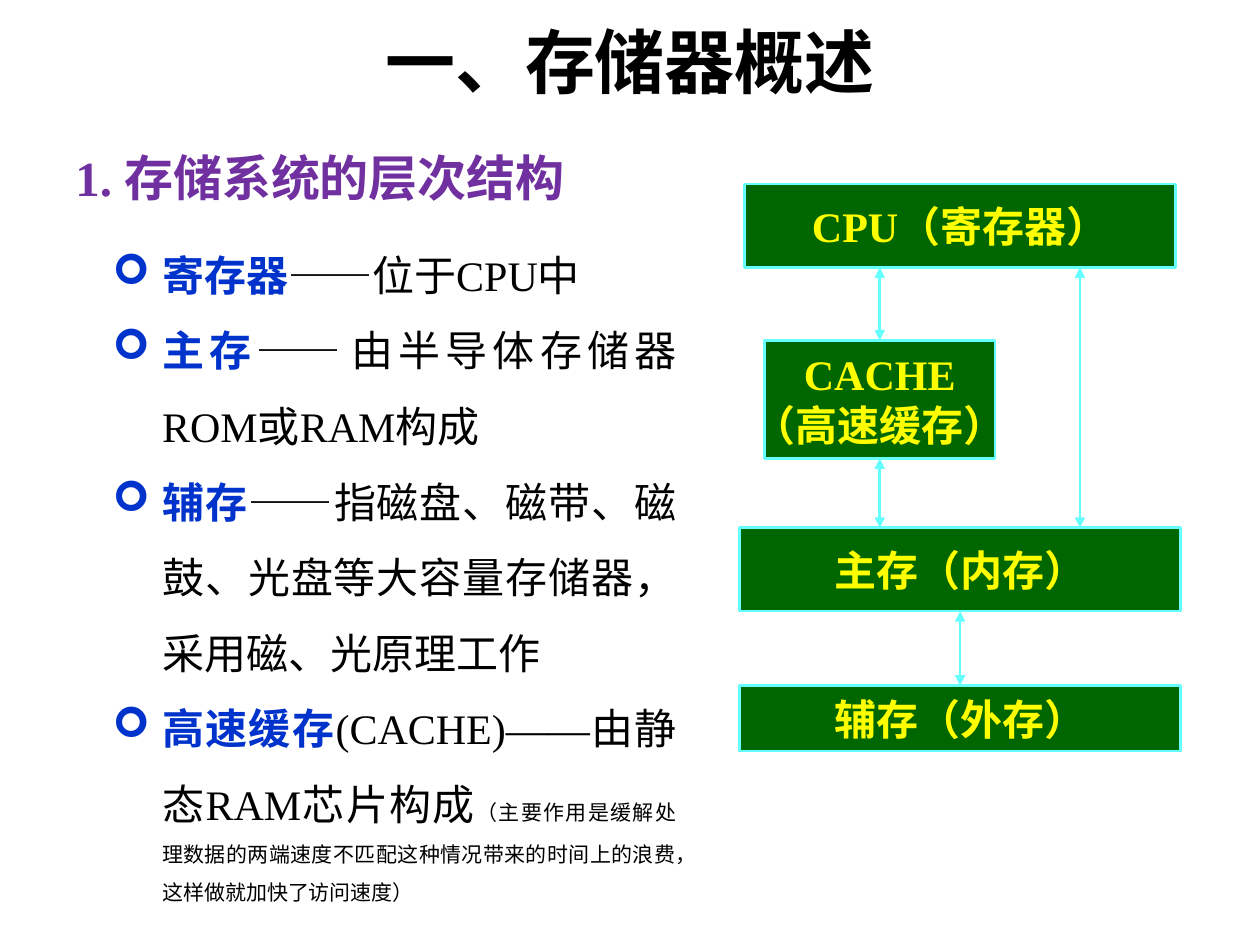
from lxml.etree import SubElement
from pptx import Presentation
from pptx.dml.color import RGBColor
from pptx.enum.lang import MSO_LANGUAGE_ID as LANG
from pptx.enum.shapes import MSO_CONNECTOR as LINE, MSO_SHAPE as SHAPE
from pptx.enum.text import MSO_ANCHOR as ANCHOR, PP_ALIGN as ALIGN
from pptx.oxml.ns import qn
from pptx.util import Cm, Pt

COLORS = {
    "black": "000000",
    "heading": "7030A0",
    "term": "0033CC",
    "box": "006600",
    "edge": "66FFFF",
    "label": "FFFF00",
}
SERIF = "Times New Roman"
TOP, BOTTOM = 0, 2

LEVELS = [
    [("寄存器", "term"), ("——位于CPU中", "plain")],
    [("主存", "term"), ("——由半导体存储器ROM或RAM构成", "plain")],
    [("辅存", "term"),
     ("——指磁盘、磁带、磁鼓、光盘等大容量存储器，采用磁、光原理工作", "plain")],
    [("高速缓存", "term"), ("(CACHE)——由静态RAM芯片构成", "plain"),
     ("（主要作用是缓解处理数据的两端速度不匹配这种情况带来的时间上的浪费，"
      "这样做就加快了访问速度）", "note")],
]
STYLES = {
    "term": dict(color="term", bold=True),
    "plain": dict(),
    "note": dict(size=12),
}


def rgb(name):
    return RGBColor.from_string(COLORS[name])


def add_run(paragraph, text, *, size=24, font=SERIF, color="black", bold=False):
    run = paragraph.add_run()
    run.text = text
    run.font.size = Pt(size)
    run.font.name = font
    run.font.bold = bold
    run.font.color.rgb = rgb(color)
    run.font.language_id = LANG.SIMPLIFIED_CHINESE


def add_bullet(paragraph):
    """Give the paragraph a hanging arrow bullet in the term colour."""
    props = paragraph._p.get_or_add_pPr()
    props.set("marL", str(Cm(1.75)))
    props.set("indent", str(Cm(-1)))
    color = SubElement(props, qn("a:buClr"))
    SubElement(color, qn("a:srgbClr"), val=COLORS["term"])
    SubElement(props, qn("a:buFont"), typeface="Wingdings")
    SubElement(props, qn("a:buChar"), char="➢")
    tabs = SubElement(props, qn("a:tabLst"))
    SubElement(tabs, qn("a:tab"), pos=str(Cm(1.75)), algn="l")


def add_text_frame(slide, left, top, width, height):
    frame = slide.shapes.add_textbox(Cm(left), Cm(top), Cm(width), Cm(height)).text_frame
    frame.word_wrap = True
    return frame


def add_title(slide, left, top, width, height):
    frame = add_text_frame(slide, left, top, width, height)
    frame.vertical_anchor = ANCHOR.MIDDLE
    title = frame.paragraphs[0]
    title.alignment = ALIGN.CENTER
    add_run(title, "一、存储器概述", size=40, font="Arial", bold=True)


def add_explanation(slide, left, top, width, height):
    frame = add_text_frame(slide, left, top, width, height)
    heading = frame.paragraphs[0]
    heading.line_spacing = 1.5
    heading.space_after = Pt(10)
    add_run(heading, "1. 存储系统的层次结构", size=28, color="heading", bold=True)
    for parts in LEVELS:
        level = frame.add_paragraph()
        level.alignment = ALIGN.JUSTIFY
        level.line_spacing = 1.5
        add_bullet(level)
        for text, style in parts:
            add_run(level, text, **STYLES[style])


def add_box(slide, left, top, width, height, *lines):
    box = slide.shapes.add_shape(SHAPE.RECTANGLE, Cm(left), Cm(top), Cm(width), Cm(height))
    box.shadow.inherit = False
    box.fill.solid()
    box.fill.fore_color.rgb = rgb("box")
    box.line.color.rgb = rgb("edge")
    box.line.width = Pt(1.5)
    frame = box.text_frame
    frame.word_wrap = False
    frame.vertical_anchor = ANCHOR.MIDDLE
    for index, text in enumerate(lines):
        label = frame.add_paragraph() if index else frame.paragraphs[0]
        label.alignment = ALIGN.CENTER
        add_run(label, text, color="label", bold=True)
    return box


def add_double_arrow(slide, x, upper, lower):
    """Draw a vertical two-headed arrow across the gap between two boxes."""
    arrow = slide.shapes.add_connector(
        LINE.STRAIGHT, x, upper.top + upper.height, x, lower.top)
    arrow.line.color.rgb = rgb("edge")
    arrow.line.width = Pt(1.5)
    for end in ("a:headEnd", "a:tailEnd"):
        SubElement(arrow.line._get_or_add_ln(), qn(end), type="triangle")
    SubElement(arrow._element.spPr, qn("a:effectLst"))
    return arrow


def middle(box):
    return box.left + box.width // 2


def add_hierarchy(slide, left, top, width):
    cpu = add_box(slide, left + 0.1, top, width - 0.2, 1.68, "CPU（寄存器）")
    cache = add_box(slide, left + 0.5, top + 3.15, 4.65, 2.38, "CACHE", "（高速缓存）")
    main = add_box(slide, left, top + 6.93, width, 1.68, "主存（内存）")
    auxiliary = add_box(slide, left, top + 10.11, width, 1.32, "辅存（外存）")

    add_double_arrow(slide, middle(cache), cpu, cache).end_connect(cache, TOP)
    add_double_arrow(slide, middle(cache), cache, main).begin_connect(cache, BOTTOM)
    add_double_arrow(slide, Cm(left + 6.86), cpu, main)
    storage = add_double_arrow(slide, middle(main), main, auxiliary)
    storage.begin_connect(main, BOTTOM)
    storage.end_connect(auxiliary, TOP)


def main():
    deck = Presentation()
    deck.slide_width, deck.slide_height = Cm(25.4), Cm(19.05)
    slide = deck.slides.add_slide(deck.slide_layouts[6])
    add_explanation(slide, 1.27, 2.26, 12.62, 16.2)
    add_hierarchy(slide, 14.91, 3.71, 8.89)
    add_title(slide, 1.27, 0, 22.86, 2.46)
    deck.save("out.pptx")


if __name__ == "__main__":
    main()
